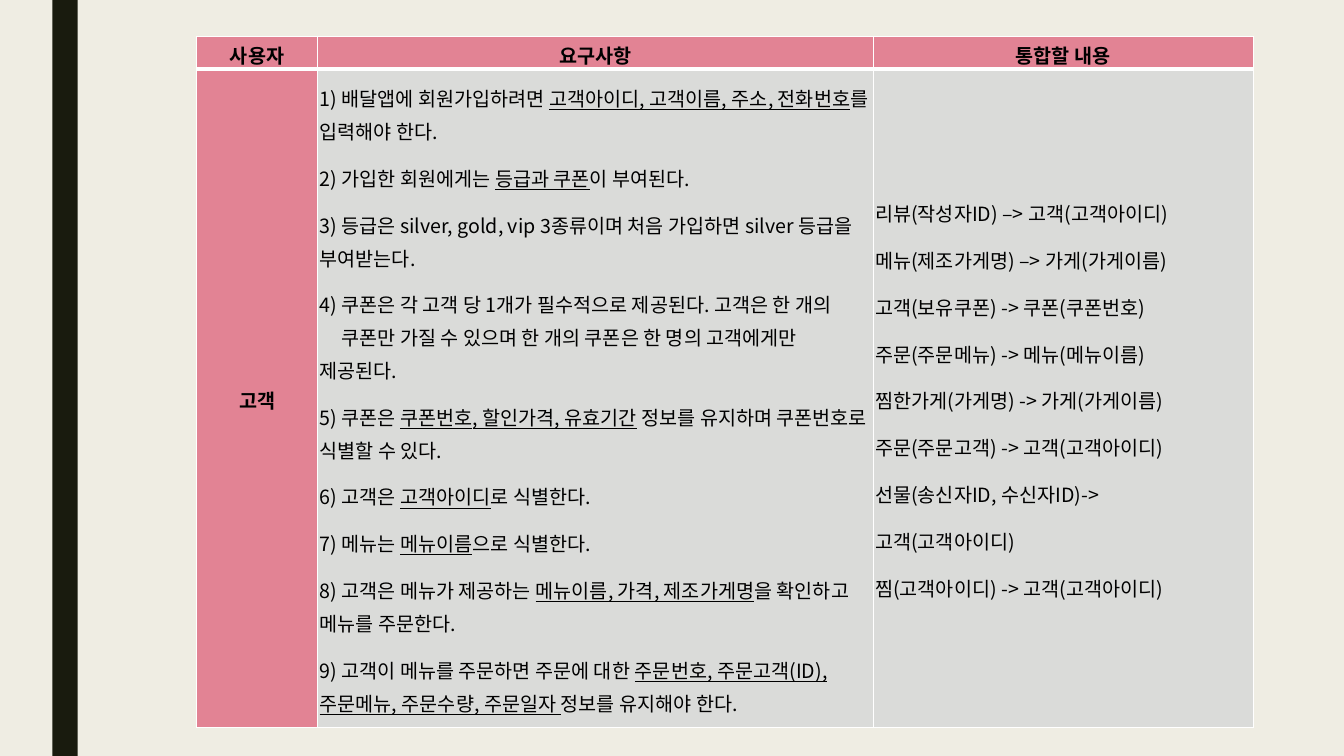
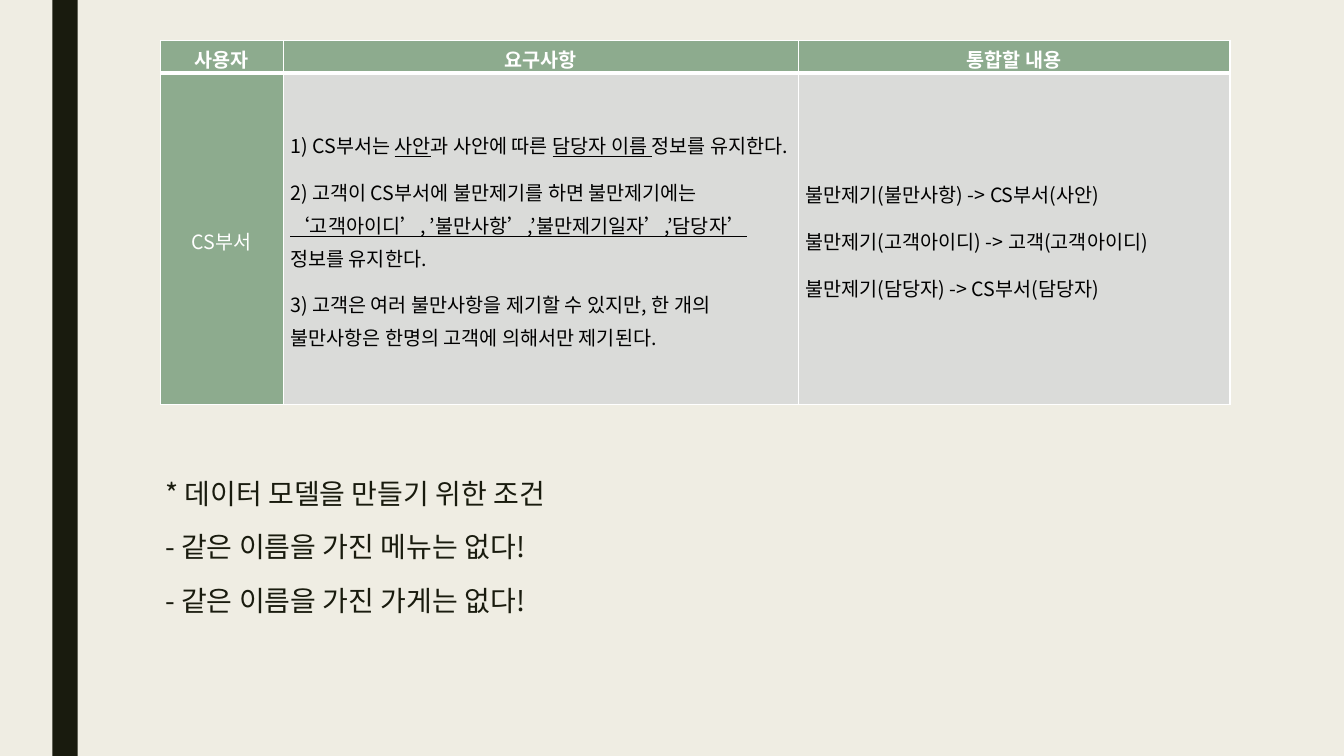
from lxml import etree
from pptx import Presentation, util as u
from pptx.dml.color import RGBColor
from pptx.enum import shapes, text
from pptx.oxml.ns import qn

FONT = "Noto Sans CJK KR"
PAPER = RGBColor(0xEF, 0xED, 0xE3)
INK = RGBColor(0x19, 0x1B, 0x0E)
BLACK = RGBColor(0, 0, 0)
WHITE = RGBColor(0xFF, 0xFF, 0xFF)
PINK = RGBColor(0xE2, 0x83, 0x94)
GREEN = RGBColor(0x8D, 0xAB, 0x8E)
GRAY = RGBColor(0xDA, 0xDB, 0xD9)

# Content: text between underscores is underlined, \n breaks a line
HEADINGS = ["사용자", "요구사항", "통합할 내용"]
CUSTOMER = dict(
    user="고객", at=(1.95, 0.36), cols=(1.2, 5.51, 3.77), rows=(0.24, 6.53),
    inset=0.02, accent=PINK, label_color=BLACK, user_bold=True,
    needs=[
        "1) 배달앱에 회원가입하려면 _고객아이디, 고객이름, 주소, 전화번호_를 입력해야 한다.",
        "2) 가입한 회원에게는 _등급과 쿠폰_이 부여된다.",
        "3) 등급은 silver, gold, vip 3종류이며 처음 가입하면 silver 등급을 부여받는다.",
        "4) 쿠폰은 각 고객 당 1개가 필수적으로 제공된다. 고객은 한 개의\n"
        "\t쿠폰만 가질 수 있으며 한 개의 쿠폰은 한 명의 고객에게만 제공된다.",
        "5) 쿠폰은 _쿠폰번호, 할인가격, 유효기간_ 정보를 유지하며 쿠폰번호로 식별할 수 있다.",
        "6) 고객은 _고객아이디_로 식별한다.",
        "7) 메뉴는 _메뉴이름_으로 식별한다.",
        "8) 고객은 메뉴가 제공하는 _메뉴이름, 가격, 제조가게명_을 확인하고 메뉴를 주문한다.",
        "9) 고객이 메뉴를 주문하면 주문에 대한 "
        "_주문번호, 주문고객(ID), 주문메뉴, 주문수량, 주문일자 _정보를 유지해야 한다.",
    ],
    merges=[
        "리뷰(작성자ID) –> 고객(고객아이디)",
        "메뉴(제조가게명) –> 가게(가게이름)",
        "고객(보유쿠폰) -> 쿠폰(쿠폰번호)",
        "주문(주문메뉴) -> 메뉴(메뉴이름)",
        "찜한가게(가게명) -> 가게(가게이름)",
        "주문(주문고객) -> 고객(고객아이디)",
        "선물(송신자ID, 수신자ID)->",
        "고객(고객아이디)",
        "찜(고객아이디) -> 고객(고객아이디)",
    ])
SUPPORT = dict(
    user="CS부서", at=(1.59, 0.4), cols=(1.22, 5.11, 4.28), rows=(0.18, 3.29),
    inset=0.07, accent=GREEN, label_color=WHITE, user_bold=False,
    needs=[
        "1) CS부서는 _사안_과 사안에 따른 _담당자 이름 _정보를 유지한다.",
        "2) 고객이 CS부서에 불만제기를 하면 불만제기에는 "
        "_‘고객아이디’, ’불만사항’,’불만제기일자’,’담당자’_ 정보를 유지한다.",
        "3) 고객은 여러 불만사항을 제기할 수 있지만, 한 개의 불만사항은 "
        "한명의 고객에 의해서만 제기된다.",
    ],
    merges=[
        "불만제기(불만사항) -> CS부서(사안)",
        "불만제기(고객아이디) -> 고객(고객아이디)",
        "불만제기(담당자) -> CS부서(담당자)",
    ])
CONDITIONS = [
    "* 데이터 모델을 만들기 위한 조건",
    "- 같은 이름을 가진 메뉴는 없다!",
    "- 같은 이름을 가진 가게는 없다!",
]


def write(frame, lines, size, color, bold=False, align=text.PP_ALIGN.LEFT,
          spacing=1.15, after=10):
    for i, line in enumerate(lines):
        para = frame.paragraphs[0] if i == 0 else frame.add_paragraph()
        para.alignment, para.line_spacing = align, spacing
        para.space_after = u.Pt(after)
        if "\t" in line:
            tabs = etree.SubElement(para._p.get_or_add_pPr(), qn("a:tabLst"))
            etree.SubElement(tabs, qn("a:tab"), pos=str(u.Inches(0.22)), algn="l")
        font = para.font
        font.size, font.bold, font.name = u.Pt(size), bold, FONT
        font.color.rgb = color
        etree.SubElement(font._element, qn("a:ea"), typeface=FONT)
        for part, chunk in enumerate(line.split("_")):
            for row, piece in enumerate(chunk.split("\n")):
                if row:
                    para.add_line_break()
                if piece:
                    run = para.add_run()
                    run.text = piece
                    if part % 2:
                        run.font.underline = True


def set_borders(cell, **widths):
    props = cell._tc.get_or_add_tcPr()
    for i, side in enumerate("LRTB"):
        line = etree.Element(qn("a:ln" + side), w=str(u.Pt(widths.get(side, 1))))
        fill = etree.SubElement(line, qn("a:solidFill"))
        etree.SubElement(fill, qn("a:srgbClr"), val=str(WHITE))
        props.insert(i, line)


def add_base(prs):
    slide = prs.slides.add_slide(prs.slide_layouts[6])
    slide.background.fill.solid()
    slide.background.fill.fore_color.rgb = PAPER
    band = slide.shapes.add_shape(shapes.MSO_SHAPE.RECTANGLE, u.Inches(0.52), 0,
                                  u.Inches(0.25), prs.slide_height)
    band.shadow.inherit = False
    band.fill.solid()
    band.fill.fore_color.rgb = INK
    band.line.fill.background()
    return slide


def add_requirements(slide, data):
    cols, rows = data["cols"], data["rows"]
    box = [u.Inches(n) for n in (*data["at"], sum(cols), sum(rows))]
    table = slide.shapes.add_table(len(rows), len(cols), *box).table
    for column, width in zip(table.columns, cols):
        column.width = u.Inches(width)
    for row, height in zip(table.rows, rows):
        row.height = u.Inches(height)

    grid = [[[h] for h in HEADINGS],
            [[data["user"]], data["needs"], data["merges"]]]
    for r, row in enumerate(grid):
        for c, lines in enumerate(row):
            cell = table.cell(r, c)
            label = r == 0 or c == 0
            cell.vertical_anchor = text.MSO_ANCHOR.MIDDLE
            cell.margin_left = cell.margin_right = u.Inches(data["inset"] if r else 0.02)
            cell.margin_top = cell.margin_bottom = 0
            cell.fill.solid()
            cell.fill.fore_color.rgb = data["accent"] if label else GRAY
            set_borders(cell, **({"T": 3} if r else {"B": 3}))
            write(cell.text_frame, lines, 14,
                  data["label_color"] if label else BLACK,
                  bold=r == 0 or (c == 0 and data["user_bold"]),
                  align=text.PP_ALIGN.CENTER if label else text.PP_ALIGN.LEFT)


def main():
    prs = Presentation()
    prs.slide_width, prs.slide_height = u.Inches(13.33), u.Inches(7.5)

    # Customer requirements
    add_requirements(add_base(prs), CUSTOMER)

    # Support requirements and model conditions
    slide = add_base(prs)
    add_requirements(slide, SUPPORT)
    conditions = slide.shapes.add_textbox(*map(u.Inches, (1.54, 4.72, 10.5, 2.04)))
    conditions.text_frame.word_wrap = True
    write(conditions.text_frame, CONDITIONS, 20, INK, spacing=0.89, after=16.7)

    prs.save("out.pptx")


if __name__ == "__main__":
    main()
